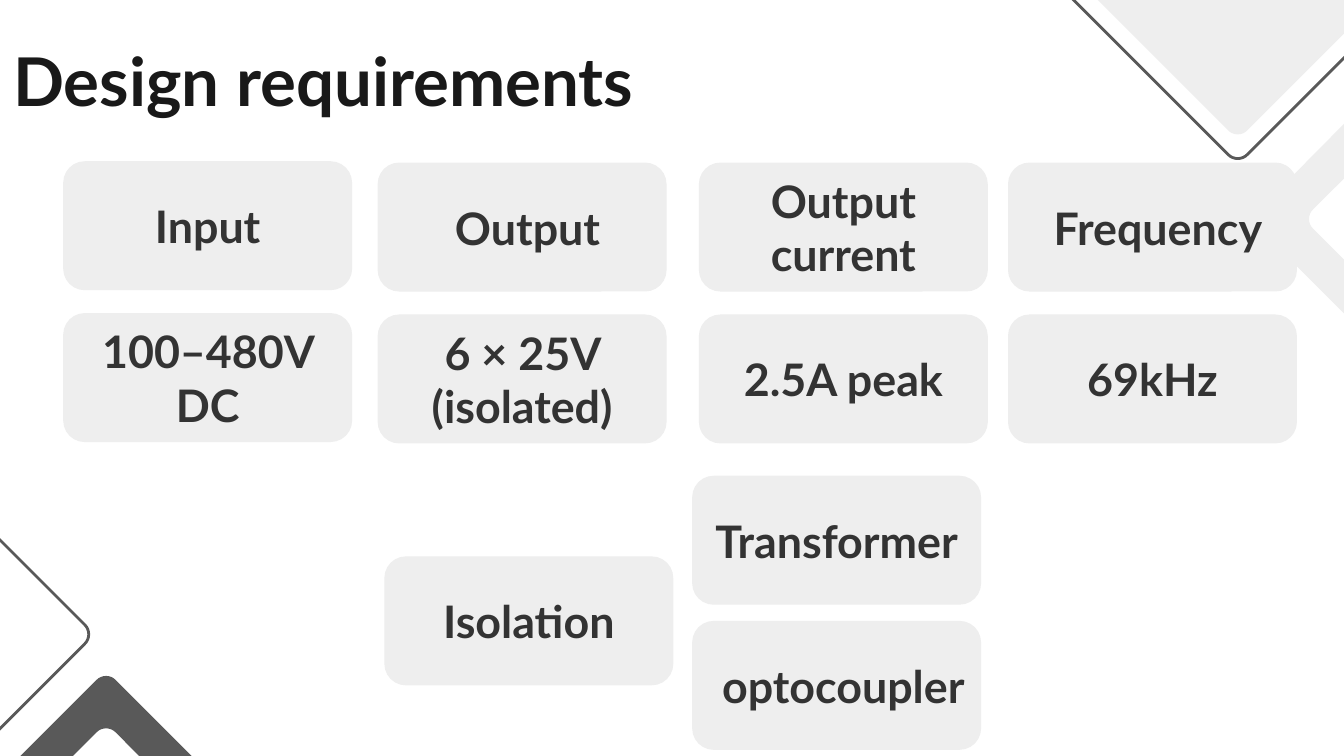
from math import cos, radians, sin

from pptx import Presentation
from pptx.dml.color import RGBColor
from pptx.enum.shapes import MSO_SHAPE as Shape
from pptx.enum.text import MSO_ANCHOR as Anchor, PP_ALIGN as Align
from pptx.util import Inches, Pt

BLACK = RGBColor(0x19, 0x19, 0x19)
CHARCOAL = RGBColor(0x33, 0x33, 0x33)
GREY = RGBColor(0x59, 0x59, 0x59)
PALE = RGBColor(0xEE, 0xEE, 0xEE)

SLIDE_WIDTH = Inches(10)
SLIDE_HEIGHT = SLIDE_WIDTH * 9 // 16
CARD_WIDTH, CARD_HEIGHT = 2.15, 0.96
LABEL_WIDTH, LABEL_HEIGHT = 2.25, 0.8
ROW_STEP = 1.13
CORNER_RADIUS = 0.1


def corner(x, y, start, end, steps=8):
    angles = [radians(start + (end - start) * i / steps) for i in range(steps + 1)]
    return [(x + CORNER_RADIUS * cos(a), y + CORNER_RADIUS * sin(a)) for a in angles]


def triangle_down(x, top):
    return [*corner(x - 1.18, top, 180, 135),
            *corner(x, top + 1.18, 135, 45),
            *corner(x + 1.18, top, 45, 0)]


class SlideBuilder:
    text_frame_format = {
        "word_wrap": True,
        "margin_left": Inches(0.1), "margin_right": Inches(0.1),
        "margin_top": Inches(0.1), "margin_bottom": Inches(0.1),
    }
    font_format = {"name": "Lato", "bold": True}

    def __init__(self, slide):
        self.shapes = slide.shapes

    def paint(self, shape, fill=None, line=None):
        shape.shadow.inherit = False
        if fill is None:
            shape.fill.background()
        else:
            shape.fill.solid()
            shape.fill.fore_color.rgb = fill
        if line is None:
            shape.line.fill.background()
        else:
            shape.line.color.rgb = line
            shape.line.width = Pt(1.5)

    def outline(self, points, fill=None, line=None):
        start, *rest = [(Inches(x), Inches(y)) for x, y in points]
        builder = self.shapes.build_freeform(*start)
        builder.add_line_segments(rest, close=True)
        self.paint(builder.convert_to_shape(), fill, line)

    def text(self, wording, left, top, width, height, size, color,
             align=Align.LEFT, anchor=Anchor.TOP):
        box = self.shapes.add_textbox(Inches(left), Inches(top), Inches(width), Inches(height))
        frame = box.text_frame
        for name, value in self.text_frame_format.items():
            setattr(frame, name, value)
        frame.vertical_anchor = anchor
        paragraph = frame.paragraphs[0]
        paragraph.alignment = align
        run = paragraph.add_run()
        run.text = wording
        for name, value in {**self.font_format, "size": Pt(size)}.items():
            setattr(run.font, name, value)
        run.font.color.rgb = color

    def card(self, wording, left, top, shift=0):
        card = self.shapes.add_shape(Shape.ROUNDED_RECTANGLE, Inches(left), Inches(top),
                                     Inches(CARD_WIDTH), Inches(CARD_HEIGHT))
        card.adjustments[0] = 0.167
        self.paint(card, PALE)
        self.text(wording, left + (CARD_WIDTH - LABEL_WIDTH) / 2 + shift,
                  top + (CARD_HEIGHT - LABEL_HEIGHT) / 2,
                  LABEL_WIDTH, LABEL_HEIGHT, 24, CHARCOAL, Align.CENTER, Anchor.MIDDLE)


def main():
    deck = Presentation()
    deck.slide_width, deck.slide_height = SLIDE_WIDTH, SLIDE_HEIGHT
    builder = SlideBuilder(deck.slides.add_slide(deck.slide_layouts[6]))

    builder.outline(triangle_down(9.21, -0.1), line=GREY)
    builder.outline(triangle_down(9.21, -0.28), fill=PALE)
    chevron_up = [*corner(0.79, 5.13, 225, 315), *corner(1.77, 6.11, 315, 405),
                  (1.71, 6.3), *corner(0.79, 5.52, 315, 225),
                  (-0.13, 6.3), *corner(-0.19, 6.11, 135, 225)]
    builder.outline(chevron_up, fill=GREY)
    chevron_left = [*corner(9.44, 1.63, 225, 135), *corner(10.47, 2.66, 135, 45),
                    (10.67, 2.6), *corner(9.84, 1.63, 135, 225),
                    (10.67, 0.66), *corner(10.47, 0.59, 315, 225)]
    builder.outline(chevron_left, fill=PALE)
    triangle_right = [*corner(-0.36, 5.64, 90, 45), *corner(0.56, 4.72, 45, -45),
                      *corner(-0.36, 3.8, -45, -90)]
    builder.outline(triangle_right, line=GREY)

    builder.text("Design requirements", 0, 0.19, 8.43, 0.63, 36, BLACK)

    requirements = [
        ("Input", "100–480V DC", 0.47, 1.2, 0),
        ("Output", "6 × 25V (isolated)", 2.81, 1.21, 0.04),
        ("Output current", "2.5A peak", 5.2, 1.21, 0),
        ("Frequency", "69kHz", 7.5, 1.21, 0.04),
    ]
    for heading, value, left, top, heading_shift in requirements:
        builder.card(heading, left, top, heading_shift)
        builder.card(value, left, top + ROW_STEP)

    builder.card("Isolation", 2.86, 4.14)
    builder.card("Transformer", 5.15, 3.54)
    builder.card("optocoupler", 5.15, 4.62, 0.05)

    deck.save("out.pptx")


if __name__ == "__main__":
    main()
